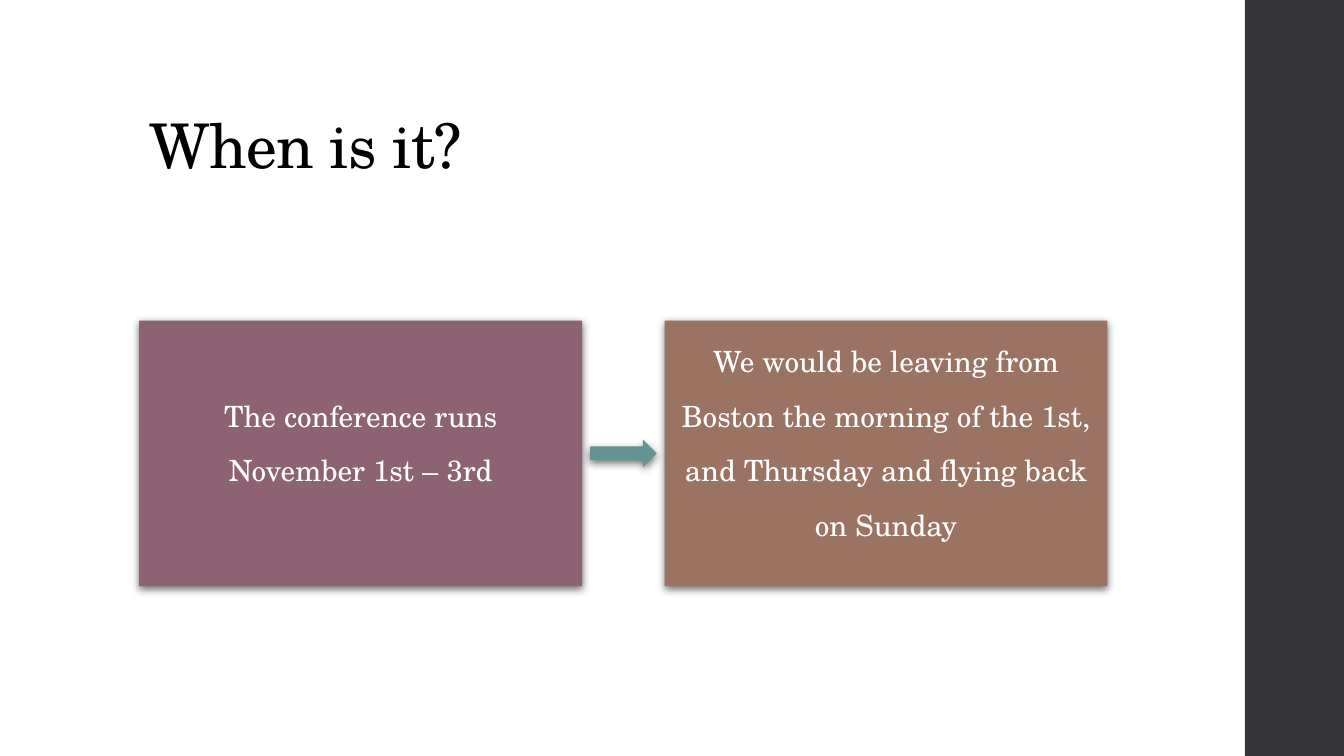
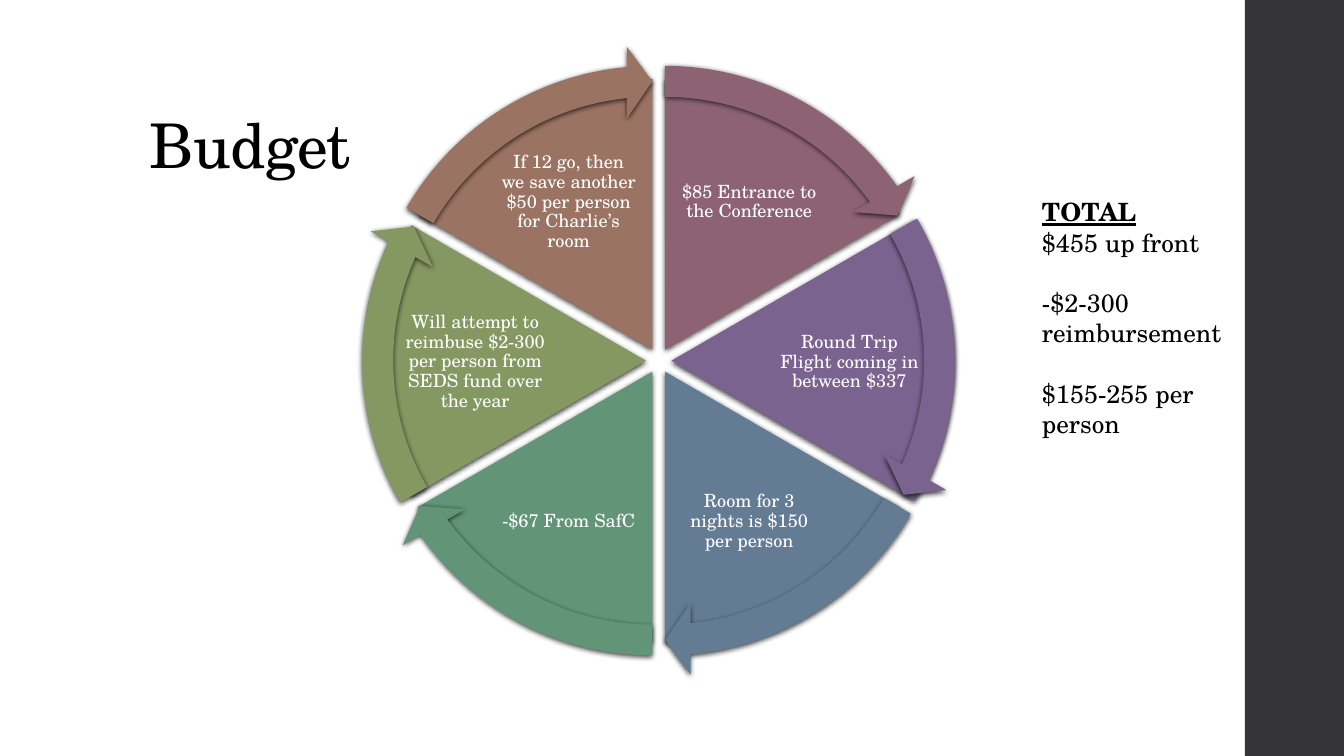
from dataclasses import dataclass
from math import cos, radians, sin
from typing import Any

from lxml.etree import SubElement
from pptx import Presentation
from pptx.dml.color import RGBColor
from pptx.enum.shapes import MSO_SHAPE
from pptx.enum.text import MSO_ANCHOR, PP_ALIGN
from pptx.oxml.ns import qn
from pptx.util import Cm, Pt

FONT = "TeX Gyre Schola"
INK, PAPER, DARK = "000000", "FFFFFF", "353537"
PLUM, CLAY, TEAL = "8D6374", "9B7362", "639491"
TITLE = {"left": Cm(3.52), "top": Cm(1.02), "width": Cm(26.92), "height": Cm(3.68)}
MIDDLE = {"alignment": PP_ALIGN.CENTER, "line_spacing": 0.9}
LEFT = {"alignment": PP_ALIGN.LEFT, "line_spacing": 0.9}
HUB_X, HUB_Y, GAP, DISC, RING = 16.6, 9.09, 0.32, 13.64, 15.33
TURN, STEP, START, HEAD = 216, 36, 162, 3.275


@dataclass(frozen=True)
class Box:
    """A rectangle in centimetres."""

    x: float
    y: float
    w: float
    h: float

    def cm(self) -> tuple[Cm, Cm, Cm, Cm]:
        """Give the four lengths."""
        return Cm(self.x), Cm(self.y), Cm(self.w), Cm(self.h)


@dataclass(frozen=True)
class Shade:
    """A downward shadow: opacity in percent, the rest in points."""

    alpha: int
    blur: float
    drop: float


@dataclass(frozen=True)
class Wedge:
    """One sector of the wheel."""

    text: str
    hue: str
    box: Box
    wide: float = DISC
    tall: float = DISC


DEEP, SOFT = Shade(55, 6, 2), Shade(75, 4, 1.2)
CARDS = [
    ("The conference runs November 1st – 3rd", PLUM),
    ("We would be leaving from Boston the morning of the 1st, "
     "and Thursday and flying back on Sunday", CLAY),
]
WEDGES = [
    Wedge("$85 Entrance to the Conference", PLUM, Box(17.09, 3.71, 3.58, 2.77)),
    Wedge("Round Trip Flight coming in between $337", "7B6390",
          Box(19.46, 7.76, 3.89, 2.74), 14.2, 14),
    Wedge("Room for 3 nights is $150 per person", "637C93",
          Box(17.09, 11.76, 3.58, 2.77)),
    Wedge("-$67 From SafC", "629578", Box(12.54, 11.76, 3.58, 2.77)),
    Wedge("Will attempt to reimbuse $2-300 per person from SEDS fund over the year",
          "859862", Box(10.11, 7.78, 3.73, 2.69)),
    Wedge("If 12 go, then we save another $50 per person for Charlie’s room", CLAY,
          Box(12.54, 3.71, 3.58, 2.77)),
]
TOTALS = ["TOTAL", "$455 up front", "-$2-300 reimbursement", "$155-255 per person"]


def put(item: Any, vals: dict[str, Any]) -> None:
    """Set each named attribute."""
    for name, val in vals.items():
        setattr(item, name, val)


def tint(part: Any, hue: str) -> None:
    """Colour a fill or a font."""
    if hasattr(part, "solid"):
        part.solid()
        part.fore_color.rgb = RGBColor.from_string(hue)
    else:
        part.color.rgb = RGBColor.from_string(hue)


def draw(slide: Any, kind: MSO_SHAPE, box: Box, hue: str,
         shade: Shade | None = None, adj: tuple[float, ...] = ()) -> Any:
    """Add a preset shape without outline."""
    shape = slide.shapes.add_shape(kind, *box.cm())
    tint(shape.fill, hue)
    shape.line.fill.background()
    shape.shadow.inherit = False
    for i, val in enumerate(adj):
        shape.adjustments[i] = val
    if shade:
        glow = SubElement(
            shape._element.spPr.find(qn("a:effectLst")), qn("a:outerShdw"),
            blurRad=str(Pt(shade.blur)), dist=str(Pt(shade.drop)),
            dir="5400000", algn="ctr", rotWithShape="0")
        ink = SubElement(glow, qn("a:srgbClr"), val=INK)
        SubElement(ink, qn("a:alpha"), val=str(shade.alpha * 1000))
    return shape


def write(frame: Any, lines: list[str], size: float, hue: str,
          form: dict[str, Any], **marks: str) -> None:
    """Fill a text frame, one paragraph a line."""
    frame.word_wrap = True
    for i, text in enumerate(lines):
        para = frame.add_paragraph() if i else frame.paragraphs[0]
        put(para, form)
        run = para.add_run()
        run.text = text
        put(run.font, {"name": FONT, "size": Pt(size)})
        tint(run.font, hue)
        for name, val in marks.items():
            run.font._element.set(name, val)


def pad(frame: Any, gap: float) -> None:
    """Centre the text upright and set equal insets."""
    sides = ("left", "top", "right", "bottom")
    put(frame, {f"margin_{side}": Cm(gap) for side in sides})
    frame.vertical_anchor = MSO_ANCHOR.MIDDLE


def start(deck: Any, text: str) -> Any:
    """Add a slide with its title and side band."""
    slide = deck.slides.add_slide(deck.slide_layouts[5])
    tint(slide.background.fill, PAPER)
    draw(slide, MSO_SHAPE.RECTANGLE, Box(31.37, 0, 2.5, 19.05), DARK)
    title = slide.shapes.title
    put(title, TITLE)
    title.text_frame.vertical_anchor = MSO_ANCHOR.BOTTOM
    write(title.text_frame, [text], 44, INK, LEFT, spc="-50")
    return slide


def dates(deck: Any) -> None:
    """Build the slide of dates."""
    slide = start(deck, "When is it?")
    for i, (text, hue) in enumerate(CARDS):
        box = Box(3.51 + i * 13.24, 8.08, 11.16, 6.69)
        card = draw(slide, MSO_SHAPE.RECTANGLE, box, hue, DEEP)
        pad(card.text_frame, 0.4)
        write(card.text_frame, [text], 36, PAPER, MIDDLE, baseline="30000")
    draw(slide, MSO_SHAPE.RIGHT_ARROW, Box(14.87, 11.08, 1.68, 0.69), TEAL, DEEP)


def disc(i: int, wide: float, tall: float) -> Box:
    """Place a disc pushed out from the hub towards its sector."""
    turn = radians(60 * (i - 1))
    x, y = HUB_X + GAP * cos(turn), HUB_Y + GAP * sin(turn)
    return Box(x - wide / 2, y - tall / 2, wide, tall)


def budget(deck: Any) -> None:
    """Build the slide of costs."""
    slide = start(deck, "Budget")
    arcs = [((START + i * STEP) % TURN, (START + (i + 1) * STEP) % TURN)
            for i in range(len(WEDGES))]
    for i, (wedge, arc) in enumerate(zip(WEDGES, arcs)):
        draw(slide, MSO_SHAPE.PIE, disc(i, wedge.wide, wedge.tall),
             wedge.hue, SOFT, arc)
        frame = slide.shapes.add_textbox(*wedge.box.cm()).text_frame
        pad(frame, 0.05)
        write(frame, [wedge.text], 13, PAPER, MIDDLE)
    for i, (wedge, (tail, tip)) in enumerate(zip(WEDGES, arcs)):
        draw(slide, MSO_SHAPE.CIRCULAR_ARROW, disc(i, RING, RING), wedge.hue, SOFT,
             (0.051, HEAD, (tip - HEAD) % TURN, tail, 0.059))
    sums = slide.shapes.add_textbox(*Box(26.01, 4.83, 5.97, 6.4).cm()).text_frame
    write(sums, TOTALS, 18, INK, {"alignment": PP_ALIGN.LEFT})
    first, *rest = sums.paragraphs
    put(first.runs[0].font, {"bold": True, "underline": True})
    for para in rest[:-1]:
        para.space_after = Pt(21.6)


def main() -> None:
    """Build and save the deck."""
    deck = Presentation()
    put(deck, {"slide_width": Cm(33.87), "slide_height": Cm(19.05)})
    dates(deck)
    budget(deck)
    deck.save("out.pptx")


if __name__ == "__main__":
    main()
